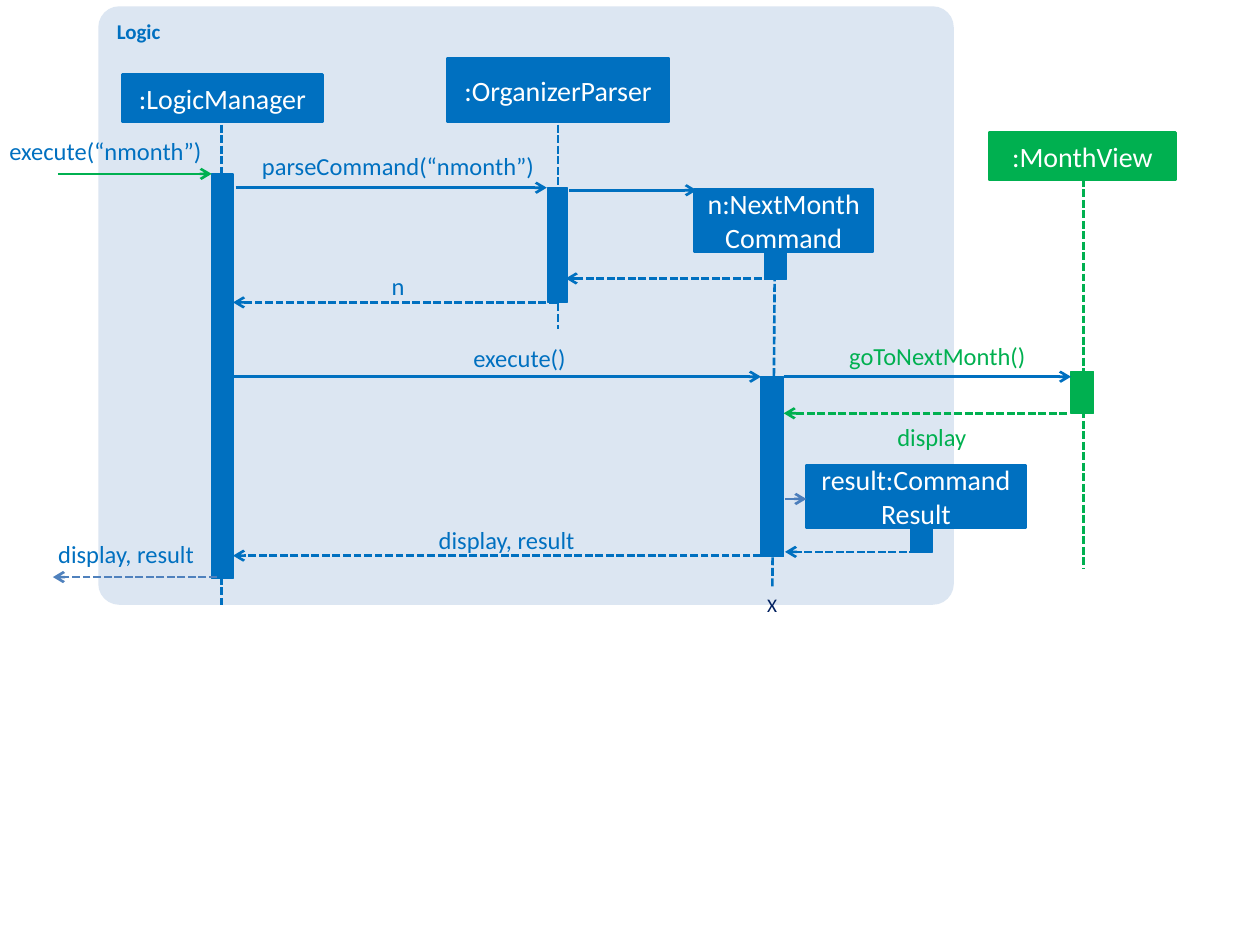
import pptx
import pptx.util
import pptx.dml.color
import pptx.enum.dml
import pptx.enum.shapes
import pptx.enum.text
import pptx.oxml.ns
import lxml.etree

Pt = pptx.util.Pt
SHAPE = pptx.enum.shapes.MSO_SHAPE
ALIGN = pptx.enum.text.PP_ALIGN
ANCHOR = pptx.enum.text.MSO_ANCHOR
COLORS = {"panel": "DCE6F2", "blue": "0070C0", "green": "00B050",
          "steel": "4F81BD", "slate": "4B7EBC", "navy": "002060", "white": "FFFFFF"}

# x1, y1, x2, y2, colour
LIFELINES = [
    (126.72, 71.28, 126.72, 345.6, "blue"),
    (318.96, 71.28, 318.96, 187.92, "blue"),
    (442.8, 138.24, 441.36, 335.52, "blue"),
    (619.2, 102.24, 619.2, 324.72, "green"),
]
# left, top, width, height, colour
ACTIVATIONS = [
    (120.96, 99.36, 12.24, 231.12, "blue"),
    (313.2, 107.28, 10.8, 65.52, "blue"),
    (437.04, 138.24, 12.24, 21.6, "blue"),
    (434.88, 215.28, 12.96, 102.96, "blue"),
    (520.56, 301.68, 12.24, 13.68, "blue"),
    (612, 212.4, 12.96, 23.76, "green"),
]
# label, left, top, width, height, colour
PARTICIPANTS = [
    (":LogicManager", 69.84, 42.48, 114.48, 27.36, "blue"),
    (":OrganizerParser", 255.6, 33.12, 126.72, 36.72, "blue"),
    ("n:NextMonthCommand", 396.72, 108, 102.24, 36, "blue"),
    (":MonthView", 565.2, 75.6, 106.56, 27.36, "green"),
    ("result:Command Result", 460.8, 265.68, 125.28, 36, "blue"),
]
# start x, end x, y, colour
CALLS = [
    (33.12, 120.96, 99.36, "green"),
    (134.64, 312.48, 107.28, "blue"),
    (325.44, 398.16, 108.72, "blue"),
    (133.2, 434.88, 215.28, "blue"),
    (447.84, 612, 215.28, "blue"),
    (448.56, 460.8, 285.12, "slate"),
]
RETURNS = [
    (441.36, 323.28, 159.12, "blue"),
    (318.24, 133.2, 172.8, "blue"),
    (609.84, 447.84, 236.16, "green"),
    (524.16, 448.56, 315.36, "blue"),
    (434.88, 133.2, 317.52, "blue"),
    (123.84, 30.24, 329.76, "steel"),
]
# text, left, top, width, colour
LABELS = [
    ("execute(“nmonth”)", -18, 77.76, 133.2, "blue"),
    ("parseCommand(“nmonth”)", 111.6, 86.4, 193.68, "blue"),
    ("n", 213.84, 154.8, 17.28, "blue"),
    ("execute()", 255.6, 195.84, 67.68, "blue"),
    ("goToNextMonth()", 473.76, 195.12, 112.32, "green"),
    ("display", 509.04, 241.2, 43.2, "green"),
    ("display, result", 231.84, 300.24, 96.48, "blue"),
    ("display, result", -10.08, 308.16, 120.96, "blue"),
]


def rgb(name):
    """Return the named colour."""
    return pptx.dml.color.RGBColor.from_string(COLORS[name])


def set_attrs(obj, values):
    """Set every attribute in a dict of format values."""
    for name, value in values.items():
        setattr(obj, name, value)


def write(sp, text, color, size, align=ALIGN.LEFT, bold=False, **frame):
    """Put one formatted run in a shape."""
    tf = sp.text_frame
    set_attrs(tf, {"word_wrap": True, **frame})
    p = tf.paragraphs[0]
    p.alignment = align
    r = p.add_run()
    r.text = text
    set_attrs(r.font, {"name": "Calibri", "size": Pt(size), "bold": bold})
    r.font.color.rgb = rgb(color)


def add_box(s, x, y, w, h, color, line=None, kind=SHAPE.RECTANGLE):
    """Add a filled shape, outlined in its own colour if a width is given."""
    sp = s.shapes.add_shape(kind, Pt(x), Pt(y), Pt(w), Pt(h))
    sp.shadow.inherit = False
    sp.fill.solid()
    sp.fill.fore_color.rgb = rgb(color)
    if line:
        sp.line.color.rgb = rgb(color)
        sp.line.width = Pt(line)
    else:
        sp.line.fill.background()
    return sp


def add_line(s, x1, y1, x2, y2, color, dashed=False, arrow=False):
    """Add a line, optionally dashed or with an arrow at its end."""
    ln = s.shapes.add_connector(pptx.enum.shapes.MSO_CONNECTOR.STRAIGHT,
                                Pt(x1), Pt(y1), Pt(x2), Pt(y2))
    ln.line.color.rgb = rgb(color)
    ln.line.width = Pt(1.5)
    if dashed:
        ln.line.dash_style = pptx.enum.dml.MSO_LINE.SQUARE_DOT
    qn = pptx.oxml.ns.qn
    if arrow:
        end = lxml.etree.SubElement(ln.line._get_or_add_ln(), qn("a:tailEnd"))
        end.set("type", "arrow")
    lxml.etree.SubElement(ln._element.spPr, qn("a:effectLst"))


def add_label(s, text, x, y, w, color):
    """Add a right-aligned message label without margins."""
    sp = s.shapes.add_textbox(Pt(x), Pt(y), Pt(w), Pt(17))
    margins = {f"margin_{side}": 0 for side in ("left", "top", "right", "bottom")}
    write(sp, text, color, 14, ALIGN.RIGHT, **margins)


def main():
    """Build the sequence diagram."""
    prs = pptx.Presentation()
    set_attrs(prs, {"slide_width": Pt(720), "slide_height": Pt(540)})
    s = prs.slides.add_slide(prs.slide_layouts[6])

    panel = add_box(s, 56.16, 3.6, 488.88, 342, "panel", kind=SHAPE.ROUNDED_RECTANGLE)
    panel.adjustments[0] = 0.035
    write(panel, "Logic", "blue", 12, bold=True, vertical_anchor=ANCHOR.TOP)

    for lifeline in LIFELINES:
        add_line(s, *lifeline, dashed=True)
    for bar in ACTIVATIONS:
        add_box(s, *bar, line=0.75)
    for text, *box in PARTICIPANTS:
        sp = add_box(s, *box, line=1.5)
        write(sp, text, "white", 16, ALIGN.CENTER, vertical_anchor=ANCHOR.MIDDLE)
    for messages, dashed in ((CALLS, False), (RETURNS, True)):
        for x1, x2, y, color in messages:
            add_line(s, x1, y, x2, y, color, dashed, arrow=True)
    for label in LABELS:
        add_label(s, *label)

    end_mark = s.shapes.add_textbox(Pt(431.28), Pt(335.52), Pt(20.16), Pt(20.88))
    write(end_mark, "X", "navy", 11, word_wrap=False)

    prs.save("out.pptx")


main()
